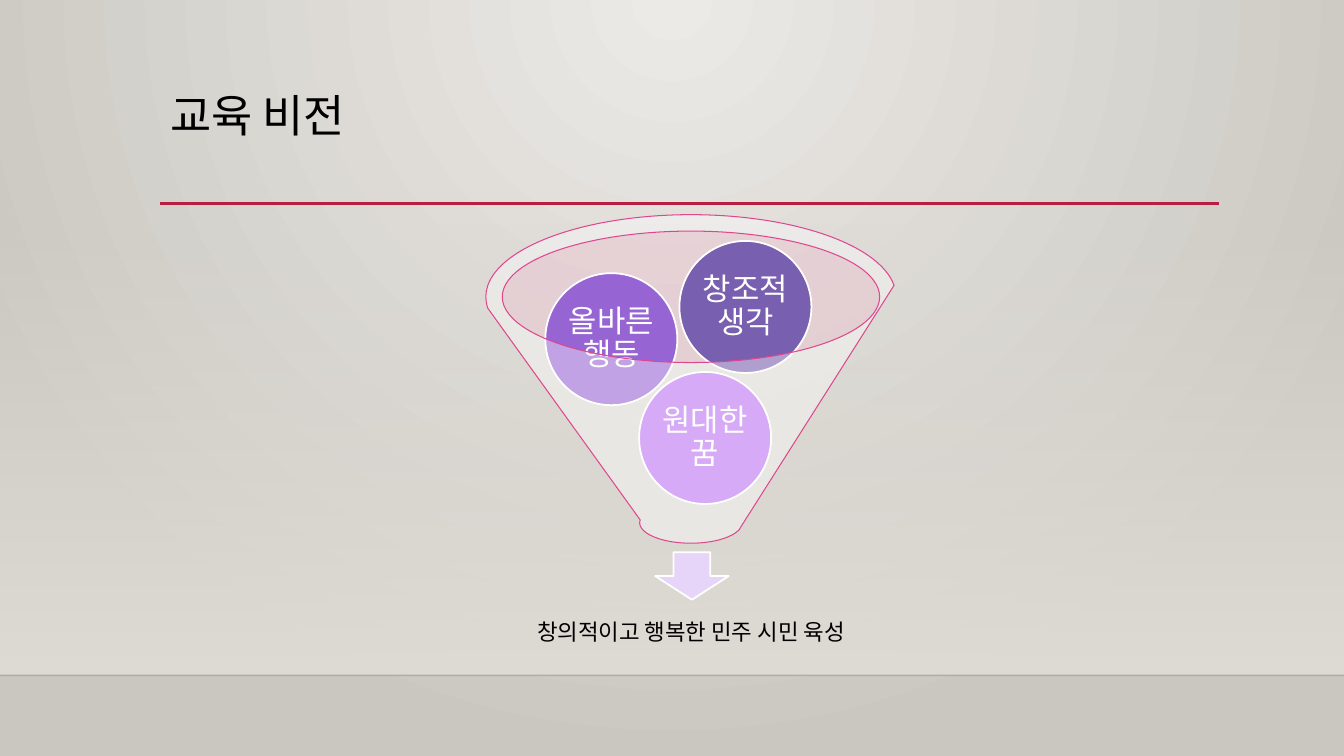
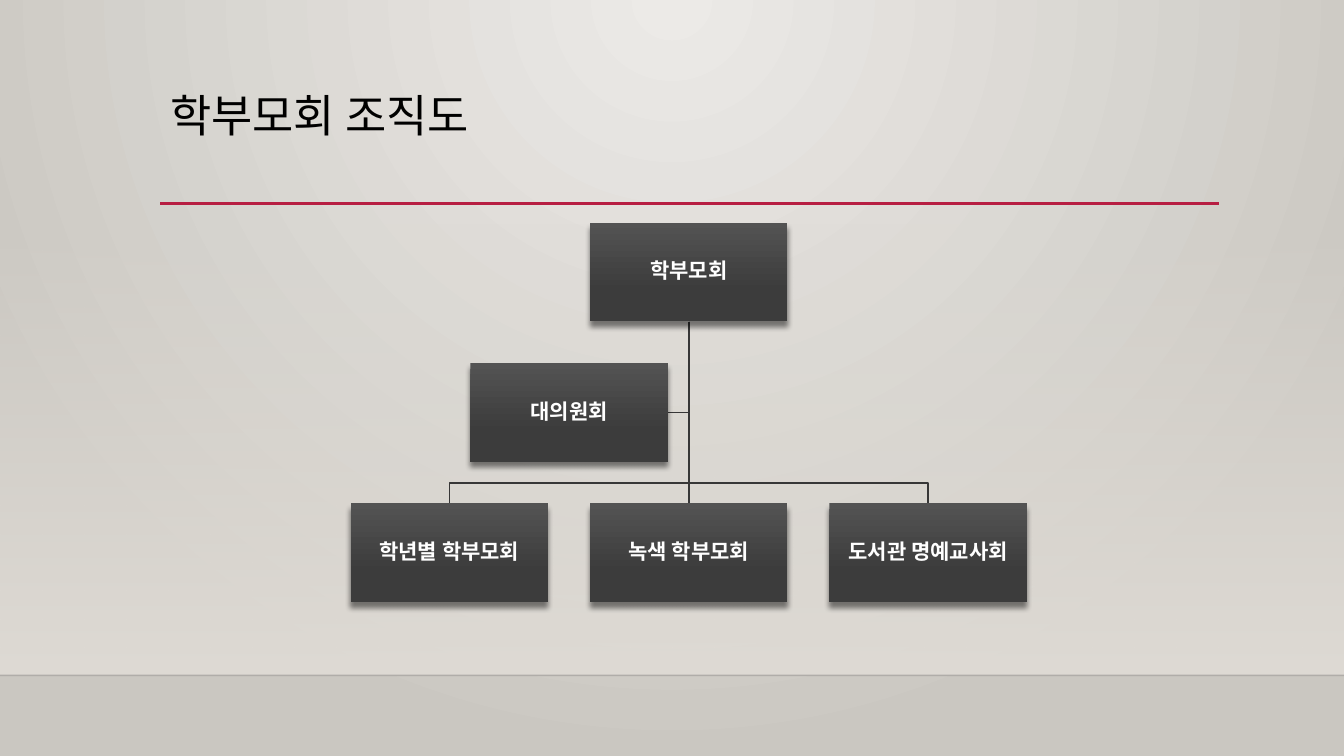
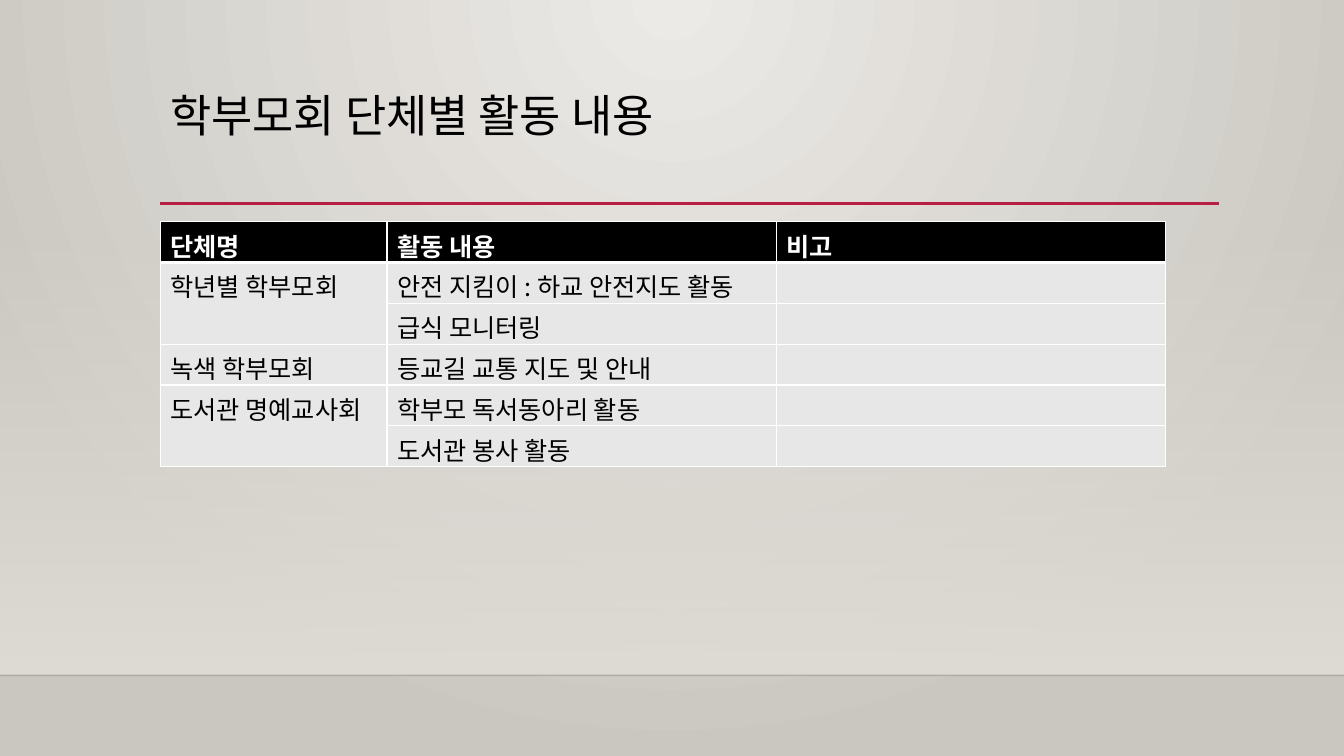
from lxml import etree
from pptx import Presentation
from pptx import util as u
from pptx.dml.color import RGBColor
from pptx.enum import shapes, text
from pptx.oxml.ns import qn

CELL = u.Inches(1) / 12  # the page is a grid of 160 columns by 90 rows
COLUMNS, ROWS = 160, 90
MARGIN, MEASURE = 19.08, 126
HORIZON = 80.4
FONT = "Noto Sans CJK KR"
COLORS = {
    "ink": "000000", "paper": "FFFFFF", "accent": "B71E42", "horizon": "000001",
    "glow": "ECEAE7", "edge": "CAC7C1", "wall": "DFDBD5",
    "funnel": "DE478E", "rim": "EFC1D1", "arrow": "E7D5F9",
    "dream": "BC72F0", "action": "9764D4", "thought": "795FAF",
    "wire": "373737", "body": "E7E7E7",
    "box top": "535353", "box middle": "3C3C3C", "box bottom": "393939",
}
BOX_GRADIENT = [(0, "box top"), (69, "box middle"), (100, "box bottom")]


def cells(*lengths):
    """Turn grid lengths into EMU."""
    return [u.Emu(round(length * CELL)) for length in lengths]


def rgb(name):
    """Look up a named colour."""
    return RGBColor.from_string(COLORS[name])


def add_node(parent, tag, **attributes):
    """Append an XML child with the given attributes."""
    node = etree.SubElement(parent, qn(tag))
    for key, value in attributes.items():
        node.set(key, str(value))
    return node


def add_color(parent, name, opacity=100):
    """Append a colour node, with an opacity in percent."""
    color = add_node(parent, "a:srgbClr", val=COLORS[name])
    if opacity < 100:
        add_node(color, "a:alpha", val=opacity * 1000)


def paint_gradient(fill, element, stops, radial=False):
    """Fill with (position, colour[, opacity]) stops, downward or from the top centre."""
    fill.gradient()
    gradient = next(element.iter(qn("a:gradFill")))
    for child in list(gradient):
        gradient.remove(child)
    stop_list = add_node(gradient, "a:gsLst")
    for position, *color in stops:
        add_color(add_node(stop_list, "a:gs", pos=position * 1000), *color)
    if radial:
        circle = add_node(gradient, "a:path", path="circle")
        add_node(circle, "a:fillToRect", l=43000, t=0, r=43000, b=100000)
    else:
        add_node(gradient, "a:lin", ang=90 * 60000, scaled=0)


def set_opacity(element, opacity):
    """Make the first solid colour of an element see-through."""
    color = next(element.iter(qn("a:srgbClr")))
    add_node(color, "a:alpha", val=opacity * 1000)


def set_line(line, color, width):
    """Colour a line, or hide it when no colour is given."""
    if color:
        line.color.rgb = rgb(color)
        line.width = u.Pt(width)
    else:
        line.fill.background()


def write(frame, content, size=18, color="ink", bold=False, align=None,
          anchor=None, inset=None, spacing=0.9):
    """Write one paragraph into a text frame."""
    frame.word_wrap = True
    if anchor is not None:
        frame.vertical_anchor = anchor
    if inset is not None:
        frame.margin_left = frame.margin_right = u.Inches(inset)
        frame.margin_top = frame.margin_bottom = u.Inches(inset)
    para = frame.paragraphs[0]
    para.alignment = align
    para.line_spacing = spacing
    span = para.add_run()
    span.text = content
    span.font.size = u.Pt(size)
    span.font.bold = bold
    span.font.color.rgb = rgb(color)
    span.font.name = FONT
    add_node(span.font._element, "a:ea", typeface=FONT)


def write_centred(frame, content, **style):
    """Write text in the middle of its frame."""
    write(frame, content, align=text.PP_ALIGN.CENTER,
          anchor=text.MSO_ANCHOR.MIDDLE, **style)


def add_text(page, at, content):
    """Add an empty-framed text box and return its frame with the content unset."""
    return page.shapes.add_textbox(*cells(*at)).text_frame


def add_shape(page, kind, at, fill=None, opacity=100, line=None, width=1.25):
    """Add a preset shape without shadow."""
    shape = page.shapes.add_shape(kind, *cells(*at))
    shape.shadow.inherit = False
    if fill:
        shape.fill.solid()
        shape.fill.fore_color.rgb = rgb(fill)
        if opacity < 100:
            set_opacity(shape.element, opacity)
    set_line(shape.line, line, width)
    return shape


def add_line(page, start, end, color, width):
    """Add a straight line without shadow."""
    line = page.shapes.add_connector(
        shapes.MSO_CONNECTOR.STRAIGHT, *cells(*start, *end))
    set_line(line.line, color, width)
    add_node(line.element.spPr, "a:effectLst")
    return line


def add_wire(page, points):
    """Add an open, bent line through the points."""
    first, *others = [cells(*point) for point in points]
    builder = page.shapes.build_freeform(*first)
    builder.add_line_segments(others, close=False)
    wire = builder.convert_to_shape()
    wire.shadow.inherit = False
    wire.fill.background()
    set_line(wire.line, "wire", 1.25)


def dress_master(deck, page):
    """Give the master its background, wall and rules, drawn by way of a page."""
    master = deck.slide_master
    paint_gradient(master.background.fill, master.element,
                   [(0, "glow"), (100, "edge")], radial=True)
    wall = add_shape(page, shapes.MSO_SHAPE.RECTANGLE,
                     (0, 26.5, COLUMNS, HORIZON - 26.5))
    paint_gradient(wall.fill, wall.element, [(0, "wall", 0), (100, "wall")])
    horizon = add_line(page, (0, HORIZON), (COLUMNS, HORIZON), "horizon", 1)
    set_opacity(horizon.element, 20)
    rule = add_line(page, (MARGIN, 24.24), (MARGIN + MEASURE, 24.24), "accent", 2.5)
    for number, part in enumerate((wall, horizon, rule), start=101):
        part.element.xpath(".//p:cNvPr")[0].set("id", str(number))
        master.shapes.element.append(part.element)


def add_page(deck, title):
    """Add a blank page with its title."""
    page = deck.slides.add_slide(deck.slide_layouts[6])
    frame = add_text(page, (MARGIN, 10.56, MEASURE, 13.8), title)
    write(frame, title, size=32)
    return page


def build_vision(page):
    """Draw the funnel of three values and its outcome."""
    preset = shapes.MSO_SHAPE
    add_shape(page, preset.OVAL, (59.76, 27.48, 45, 15.6), "rim", opacity=40)
    add_shape(page, preset.DOWN_ARROW, (78, 65.76, 8.76, 5.64), "arrow", line="paper")
    outcome = "창의적이고 행복한 민주 시민 육성"
    write_centred(add_text(page, (61.32, 70.2, 41.88, 10.44), outcome),
                  outcome, size=16, inset=0.12)
    diameter = 15.72
    for left, top, color, value in (
            (76.08, 44.28, "dream", "원대한 꿈"),
            (64.92, 32.52, "action", "올바른 행동"),
            (80.88, 28.68, "thought", "창조적 생각")):
        ball = add_shape(page, preset.OVAL, (left, top, diameter, diameter),
                         color, line="paper")
        write_centred(ball.text_frame, value, size=22, color="paper", inset=0.03)
    add_shape(page, preset.FUNNEL, (57.84, 25.56, 48.84, 39.12), "paper",
              opacity=40, line="funnel", width=0.75)


def add_unit(page, at, name):
    """Add one shaded box of the organisation chart."""
    unit = add_shape(page, shapes.MSO_SHAPE.RECTANGLE, at)
    paint_gradient(unit.fill, unit.element, BOX_GRADIENT)
    shadow = add_node(unit.element.spPr.find(qn("a:effectLst")), "a:outerShdw",
                      blurRad=u.Pt(4), dist=u.Pt(4), dir=90 * 60000, rotWithShape=0)
    add_color(shadow, "ink", 48)
    write_centred(unit.text_frame, name, size=15, color="paper", bold=True, inset=0.01)


def build_organisation(page):
    """Draw the chart: one head, one side council, three groups."""
    width, height = 23.52, 11.76
    spine, top = 82, 26.52
    column_step, row_step = 28.5, 16.7
    head_bottom = top + height
    group_top = top + 2 * row_step
    bend = group_top - 2.42
    council_middle = top + row_step + height / 2
    council_right = spine - column_step / 2 + width / 2

    add_wire(page, [(spine, head_bottom), (spine, council_middle),
                    (council_right, council_middle)])
    for side in (1, -1):
        group = spine + side * column_step
        add_wire(page, [(spine, head_bottom), (spine, bend),
                        (group, bend), (group, group_top)])
    add_line(page, (spine, head_bottom), (spine, group_top), "wire", 1.25)

    for column, row, name in (
            (0, 0, "학부모회"), (-1, 2, "학년별 학부모회"), (0, 2, "녹색 학부모회"),
            (1, 2, "도서관 명예교사회"), (-0.5, 1, "대의원회")):
        left = spine + column * column_step - width / 2
        add_unit(page, (left, top + row * row_step, width, height), name)


def style_cell(cell, fill, top, bottom):
    """Fill a cell and give it white borders."""
    cell.fill.solid()
    cell.fill.fore_color.rgb = rgb(fill)
    properties = cell._tc.get_or_add_tcPr()
    borders = (("a:lnL", 1), ("a:lnR", 1), ("a:lnT", top), ("a:lnB", bottom))
    for place, (tag, width) in enumerate(borders):
        border = add_node(properties, tag, w=u.Pt(width))
        add_color(add_node(border, "a:solidFill"), "paper")
        properties.insert(place, border)


def build_activities(page):
    """Draw the table of activities by group."""
    rows = [
        ("단체명", "활동 내용", "비고"),
        ("학년별 학부모회", "안전 지킴이 : 하교 안전지도 활동", ""),
        ("", "급식 모니터링", ""),
        ("녹색 학부모회", "등교길 교통 지도 및 안내", ""),
        ("도서관 명예교사회", "학부모 독서동아리 활동", ""),
        ("", "도서관 봉사 활동", ""),
    ]
    widths = (27, 46.32, 46.32)
    row_height = 4.86
    table = page.shapes.add_table(
        len(rows), len(widths),
        *cells(MARGIN, 26.4, sum(widths), row_height * len(rows))).table
    table.horz_banding = False
    for column, width in zip(table.columns, cells(*widths)):
        column.width = width
    for row, contents in enumerate(rows):
        header = row == 0
        for column, content in enumerate(contents):
            cell = table.cell(row, column)
            style_cell(cell, "ink" if header else "body",
                       top=3 if row == 1 else 1, bottom=3 if header else 1)
            if content:
                write(cell.text_frame, content, bold=header, spacing=None,
                      color="paper" if header else "ink")
    for first in (1, 4):
        table.cell(first, 0).merge(table.cell(first + 1, 0))


def main():
    """Build and save the deck."""
    deck = Presentation()
    deck.slide_width, deck.slide_height = cells(COLUMNS, ROWS)
    pages = (("교육 비전", build_vision),
             ("학부모회 조직도", build_organisation),
             ("학부모회 단체별 활동 내용", build_activities))
    for number, (title, build) in enumerate(pages):
        page = add_page(deck, title)
        if number == 0:
            dress_master(deck, page)
        build(page)
    deck.save("out.pptx")


main()
